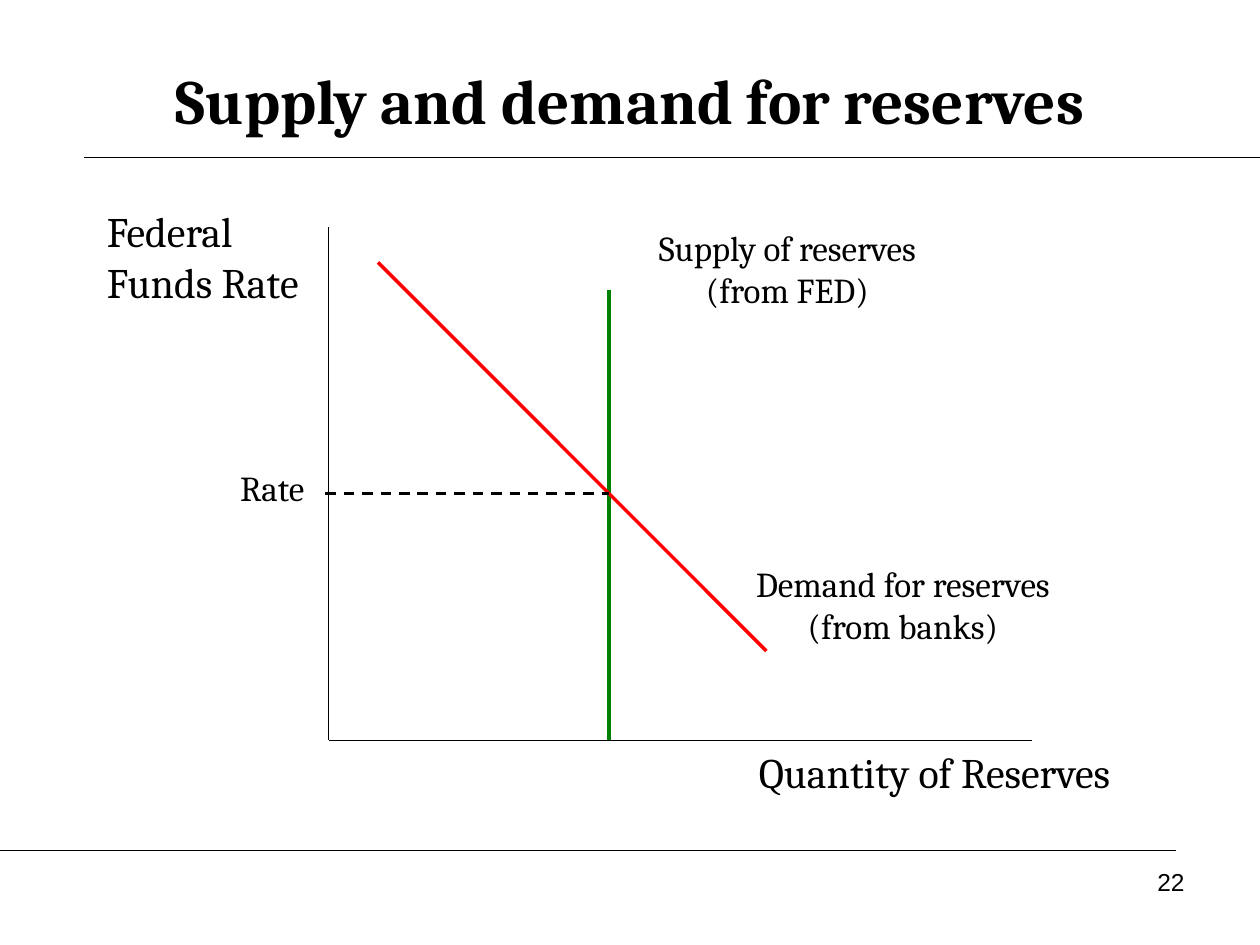
"""Build a slide with the supply and demand diagram for bank reserves."""
from lxml import etree
from pptx import Presentation
from pptx.dml.color import RGBColor
from pptx.enum.dml import MSO_LINE
from pptx.enum.shapes import MSO_CONNECTOR
from pptx.enum.text import MSO_ANCHOR, PP_ALIGN
from pptx.oxml.ns import qn
from pptx.util import Inches, Pt

STRAIGHT = MSO_CONNECTOR.STRAIGHT
DASH = MSO_LINE.DASH
MIDDLE = MSO_ANCHOR.MIDDLE
LEFT, CENTER, RIGHT = PP_ALIGN.LEFT, PP_ALIGN.CENTER, PP_ALIGN.RIGHT

BLACK = RGBColor(0x00, 0x00, 0x00)
GREEN = RGBColor(0x00, 0x80, 0x00)
RED = RGBColor(0xFF, 0x00, 0x00)

COLUMNS, ROWS = 120, 90
CELL = Inches(10) // COLUMNS

TITLE = "Supply and demand for reserves"
TITLE_AREA = (6, 4, 108, 11)

AXIS_X, AXIS_Y = 31.3, 70.5
SUPPLY_X, RATE_Y = 58, 47

# start column, start row, end column, end row, colour, points, dash
LINES = [
    (8, 15, COLUMNS, 15, BLACK, 0.75, None),
    (0, 81, 112, 81, BLACK, 0.75, None),
    (AXIS_X, 21.6, AXIS_X, AXIS_Y, BLACK, 0.75, None),
    (AXIS_X, AXIS_Y, 98.3, AXIS_Y, BLACK, 0.75, None),
    (SUPPLY_X, AXIS_Y, SUPPLY_X, 27.6, GREEN, 2, None),
    (36, 25, 73, 62, RED, 2, None),
    (31, RATE_Y, SUPPLY_X, RATE_Y, BLACK, 1.5, DASH),
]

# lines of text, area, alignment, size, font
LABELS = [
    (["Quantity of Reserves"], (71, AXIS_Y, 36, 10.8), CENTER, 24, "Cambria"),
    (["Federal", "Funds Rate"], (9, 19, 26, 10.8), LEFT, 24, "Cambria"),
    (["Rate"], (21.7, 43.8, 21.4, 5.3), LEFT, 20, "Cambria"),
    (["Demand for reserves", "(from banks)"], (68, 53, 36, 9.2), CENTER, 20, "Cambria"),
    (["Supply of reserves", "(from FED)"], (57, 21, 36, 9.2), CENTER, 20, "Cambria"),
    (["22"], (86, 82, 28, 6.2), RIGHT, 14, "Arial"),
]


def cells(*counts):
    return [round(count * CELL) for count in counts]


def write(frame, text_lines, alignment, size, font_name, bold=False):
    frame.word_wrap = True
    paragraph = frame.paragraphs[0]
    paragraph.alignment = alignment
    for index, text in enumerate(text_lines):
        if index:
            paragraph.add_line_break()
        run = paragraph.add_run()
        run.text = text
        run.font.name = font_name
        run.font.size = Pt(size)
        run.font.bold = bold
        run.font.color.rgb = BLACK


def add_line(slide, start_x, start_y, end_x, end_y, color, points, dash):
    connector = slide.shapes.add_connector(
        STRAIGHT, *cells(start_x, start_y, end_x, end_y))
    connector.line.color.rgb = color
    connector.line.width = Pt(points)
    if dash:
        connector.line.dash_style = dash
    etree.SubElement(connector._element.spPr, qn("a:effectLst"))


def main():
    deck = Presentation()
    deck.slide_width, deck.slide_height = cells(COLUMNS, ROWS)
    slide = deck.slides.add_slide(deck.slide_layouts[5])

    title = slide.shapes.title
    title.left, title.top, title.width, title.height = cells(*TITLE_AREA)
    title.text_frame.vertical_anchor = MIDDLE
    write(title.text_frame, [TITLE], CENTER, 36, "Cambria", bold=True)

    for line in LINES:
        add_line(slide, *line)
    for text_lines, area, alignment, size, font_name in LABELS:
        label = slide.shapes.add_textbox(*cells(*area))
        write(label.text_frame, text_lines, alignment, size, font_name)

    deck.save("out.pptx")


if __name__ == "__main__":
    main()
